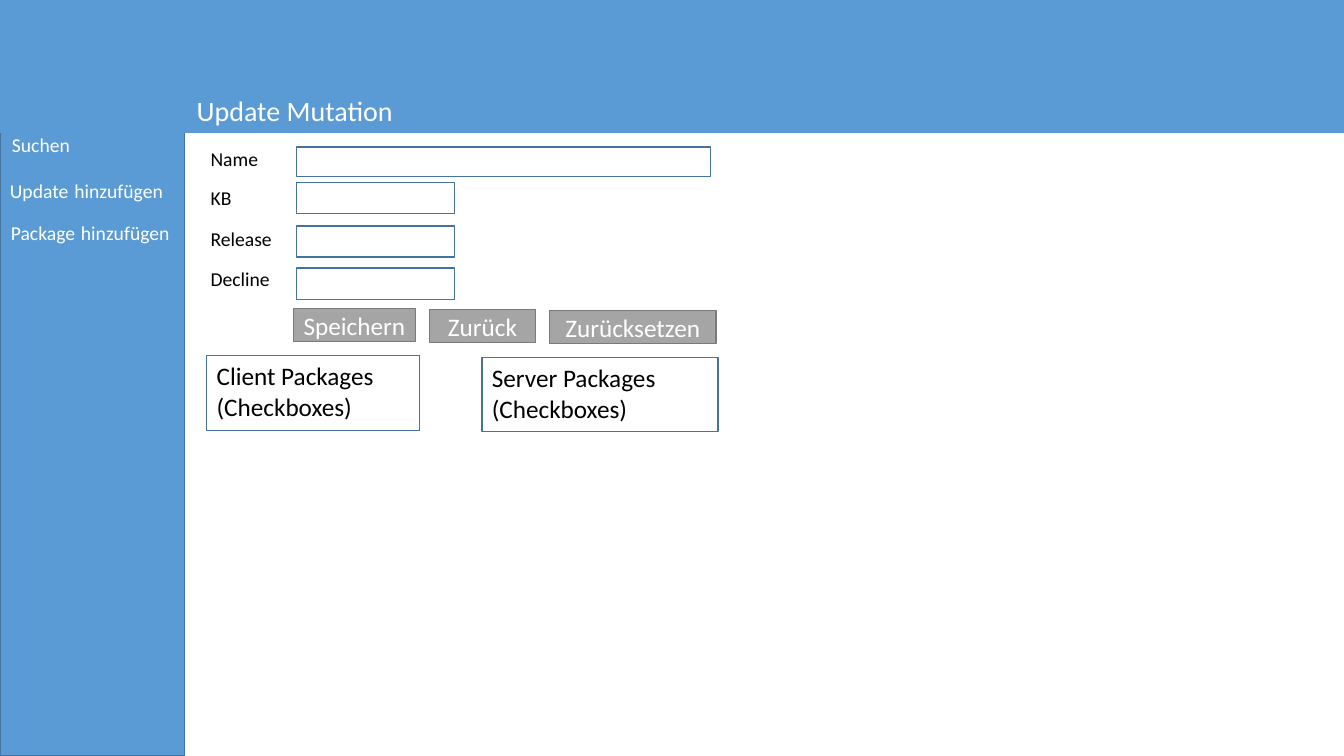
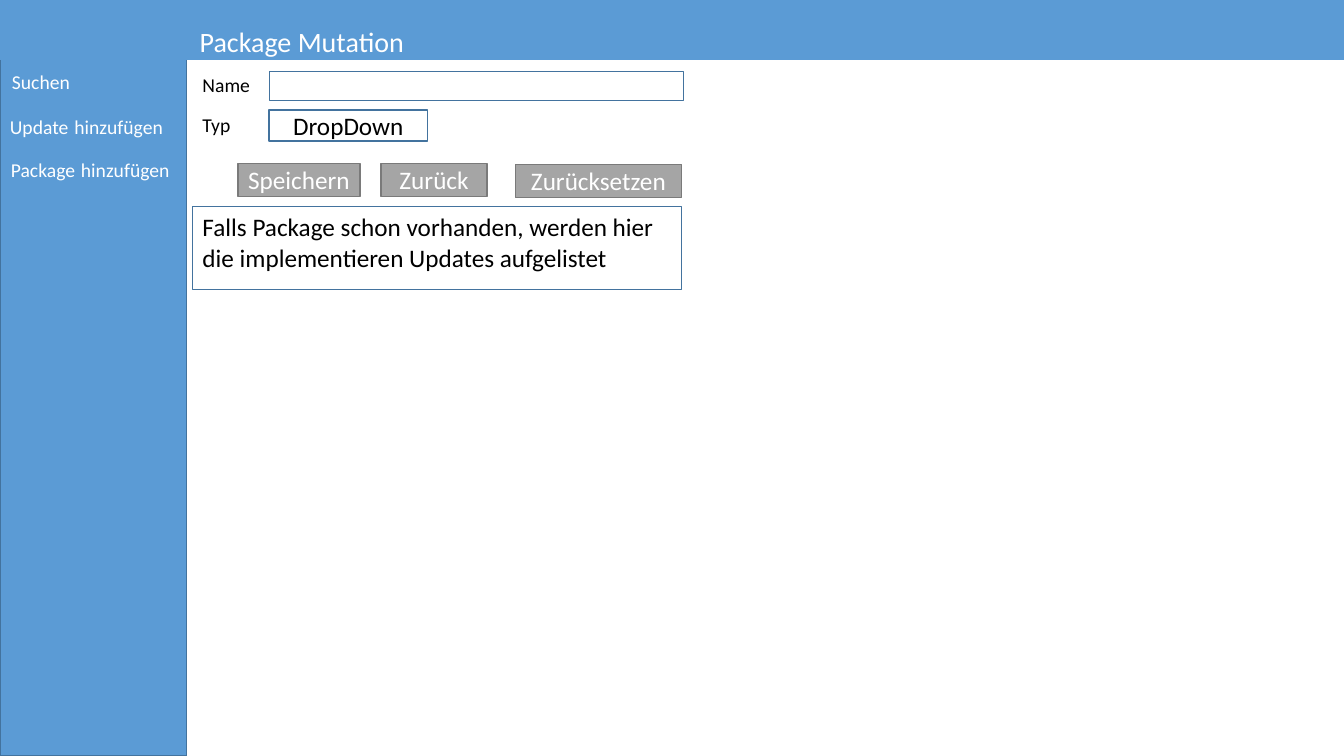
"""Build two mask sketches for editing updates and packages."""
from pptx import Presentation
from pptx.dml.color import RGBColor
from pptx.enum.shapes import MSO_SHAPE
from pptx.enum.text import MSO_ANCHOR, MSO_AUTO_SIZE, PP_ALIGN
from pptx.util import Inches, Pt

RECTANGLE = MSO_SHAPE.RECTANGLE
TOP, MIDDLE = MSO_ANCHOR.TOP, MSO_ANCHOR.MIDDLE
LEFT, CENTER = PP_ALIGN.LEFT, PP_ALIGN.CENTER
GROW = MSO_AUTO_SIZE.SHAPE_TO_FIT_TEXT

FONT = "Calibri"
COLORS = {
    "blue": "5B9BD5",
    "blue_line": "43739E",
    "gray": "A5A5A5",
    "gray_line": "7A7A7A",
    "white": "FFFFFF",
    "black": "000000",
}
SLIDE_WIDTH, SLIDE_HEIGHT = 13.33, 7.5
FIELD_SIZES = {"wide": (4.11, 0.29), "narrow": (1.57, 0.31)}
BUTTONS = [("Speichern", 1.21), ("Zurück", 1.05), ("Zurücksetzen", 1.65)]
MENU = [
    (0.02, 0, 1.01, 0.34, [("Suchen", 14)]),
    (0, 0.4, 2.15, 0.4, [("Update", 14), (" ", 18), ("hinzufügen", 14)]),
    (0.01, 0.82, 2.27, 0.4, [("Package", 14), (" ", 18), ("hinzufügen", 14)]),
]
PAGES = [
    {
        "title": "Update Mutation",
        "title_position": (1.85, 0.88),
        "sidebar_width": 1.83,
        "header": (0, 1.31),
        "menu_top": 1.27,
        "label_left": 1.99,
        "field_left": 2.94,
        "fields": [
            ("Name", 1.41, 0.68, 1.46, "wide", ""),
            ("KB", 1.8, 0.41, 1.81, "narrow", ""),
            ("Release", 2.2, 0.82, 2.24, "narrow", ""),
            ("Decline", 2.6, 0.8, 2.66, "narrow", ""),
        ],
        "panels": [
            (2.05, 3.53, 2.11, 0.74, ["Client Packages", "(Checkboxes)"]),
            (4.78, 3.55, 2.34, 0.73, ["Server Packages", "(Checkboxes)"]),
        ],
        "button_positions": [(2.91, 3.06), (4.26, 3.07), (5.45, 3.08)],
    },
    {
        "title": "Package Mutation",
        "title_position": (1.88, 0.19),
        "sidebar_width": 1.85,
        "header": (-0.07, 0.66),
        "menu_top": 0.64,
        "label_left": 1.91,
        "field_left": 2.67,
        "fields": [
            ("Name", 0.67, 0.68, 0.71, "wide", ""),
            ("Typ", 1.07, 0.48, 1.09, "narrow", "DropDown"),
        ],
        "panels": [
            (1.91, 2.05, 4.85, 0.82, [
                "Falls Package schon vorhanden, werden hier "
                "die implementieren Updates aufgelistet",
            ]),
        ],
        "button_positions": [(2.36, 1.62), (3.78, 1.62), (5.11, 1.63)],
    },
]


def add_box(slide, left, top, width, height, fill="white", line="blue_line"):
    shape = slide.shapes.add_shape(
        RECTANGLE, Inches(left), Inches(top), Inches(width), Inches(height))
    shape.shadow.inherit = False
    shape.fill.solid()
    shape.fill.fore_color.rgb = RGBColor.from_string(COLORS[fill])
    shape.line.color.rgb = RGBColor.from_string(COLORS[line])
    shape.line.width = Pt(1)
    return shape


def write(shape, paragraphs, color="black", align=LEFT, anchor=TOP,
          wrap=True, grow=False):
    frame = shape.text_frame
    frame.word_wrap = wrap
    frame.vertical_anchor = anchor
    if grow:
        frame.auto_size = GROW
    for index, runs in enumerate(paragraphs):
        paragraph = frame.add_paragraph() if index else frame.paragraphs[0]
        paragraph.alignment = align
        for text, size in runs:
            run = paragraph.add_run()
            run.text = text
            run.font.name = FONT
            run.font.size = Pt(size)
            run.font.color.rgb = RGBColor.from_string(COLORS[color])


presentation = Presentation()
presentation.slide_width = Inches(SLIDE_WIDTH)
presentation.slide_height = Inches(SLIDE_HEIGHT)
title_only = presentation.slide_layouts[5]

for page in PAGES:
    slide = presentation.slides.add_slide(title_only)
    add_box(slide, 0, 0, page["sidebar_width"], SLIDE_HEIGHT, "blue")

    for left, offset, width, height, runs in MENU:
        entry = slide.shapes.add_textbox(
            Inches(left), Inches(page["menu_top"] + offset),
            Inches(width), Inches(height))
        write(entry, [runs], "white", grow=True)

    header_top, header_height = page["header"]
    add_box(slide, 0, header_top, SLIDE_WIDTH, header_height, "blue", "blue")

    title = slide.shapes.title
    title_left, title_top = page["title_position"]
    title.left, title.top = Inches(title_left), Inches(title_top)
    title.width, title.height = Inches(7.07), Inches(0.44)
    write(title, [[(page["title"], 20)]], "white", grow=True)
    title.element.getparent().append(title.element)

    for name, label_top, label_width, field_top, size, value in page["fields"]:
        label = slide.shapes.add_textbox(
            Inches(page["label_left"]), Inches(label_top),
            Inches(label_width), Inches(0.34))
        write(label, [[(name, 14)]], wrap=False, grow=True)
        field = add_box(slide, page["field_left"], field_top, *FIELD_SIZES[size])
        if value:
            write(field, [[(value, 18)]], align=CENTER, anchor=MIDDLE)

    for left, top, width, height, lines in page["panels"]:
        panel = add_box(slide, left, top, width, height)
        write(panel, [[(line, 18)] for line in lines])

    for (caption, width), (left, top) in zip(BUTTONS, page["button_positions"]):
        button = add_box(slide, left, top, width, 0.33, "gray", "gray_line")
        write(button, [[(caption, 18)]], "white", CENTER, MIDDLE)

presentation.save("out.pptx")
